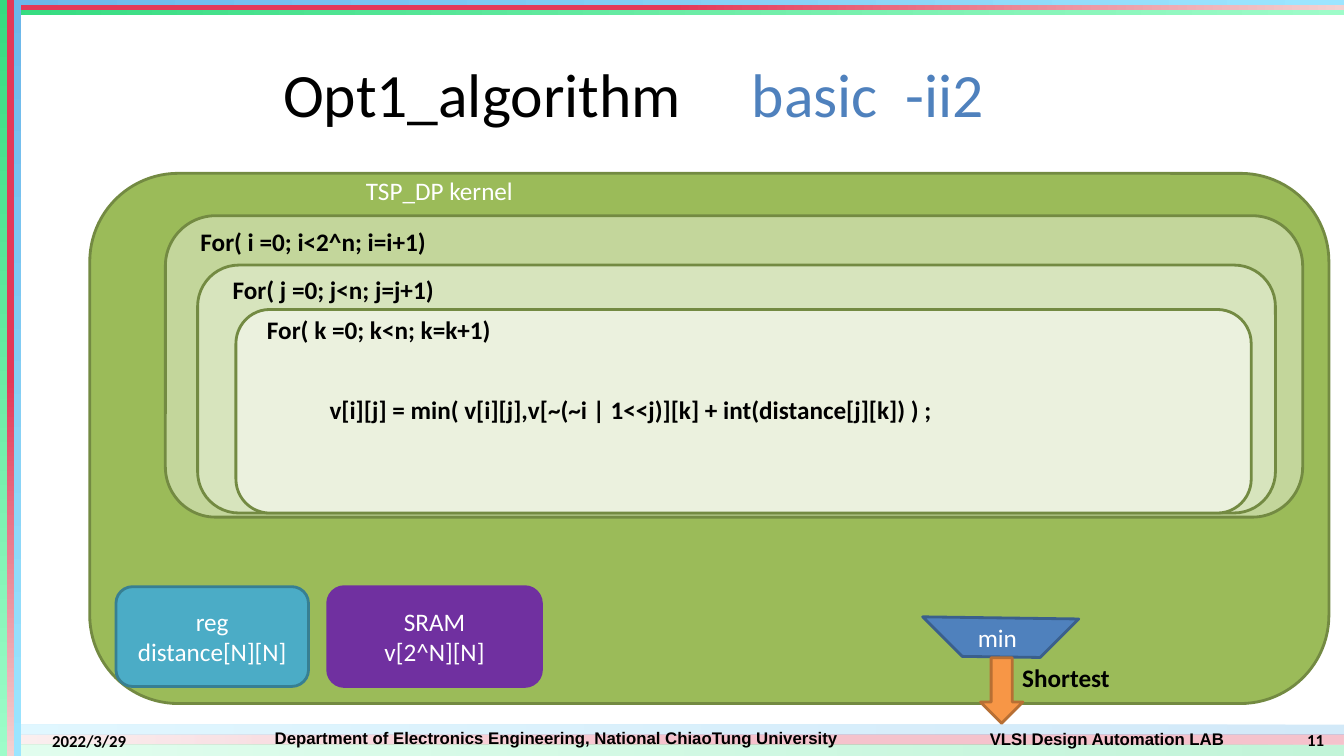
from dataclasses import dataclass
from typing import Optional

from lxml import etree
from pptx import Presentation
from pptx import util as u
from pptx.dml.color import RGBColor
from pptx.enum import shapes, text
from pptx.oxml import ns

BLACK = RGBColor(0x00, 0x00, 0x00)
WHITE = RGBColor(0xFF, 0xFF, 0xFF)
BLUE = RGBColor(0x4F, 0x81, 0xBD)
BLUE_EDGE = RGBColor(0x3A, 0x5F, 0x8C)
TEAL = RGBColor(0x4B, 0xAC, 0xC6)
TEAL_EDGE = RGBColor(0x37, 0x7F, 0x92)
ORANGE = RGBColor(0xF7, 0x96, 0x46)
ORANGE_EDGE = RGBColor(0xB7, 0x6F, 0x34)
PURPLE = RGBColor(0x70, 0x30, 0xA0)
GREEN = RGBColor(0x9B, 0xBB, 0x59)
GREEN_EDGE = RGBColor(0x73, 0x8A, 0x42)
GREEN_LOOP_I = RGBColor(0xC3, 0xD6, 0x9B)
GREEN_LOOP_J = RGBColor(0xD7, 0xE4, 0xBD)
GREEN_LOOP_K = RGBColor(0xEB, 0xF1, 0xDE)
BAR_RED = (RGBColor(0xE3, 0x39, 0x59), RGBColor(0xF2, 0xD2, 0xD2), 0.5)
BAR_GREEN = (RGBColor(0x35, 0xDB, 0x80), RGBColor(0x9E, 0xFC, 0xC9), 0)
BAR_BLUE = (RGBColor(0x6C, 0xB7, 0xEA), RGBColor(0x9B, 0xE5, 0xFF), 0)

WIDTH, HEIGHT = 13.33, 7.5
RECTANGLE = shapes.MSO_SHAPE.RECTANGLE
ROUNDED = shapes.MSO_SHAPE.ROUNDED_RECTANGLE
LEFT, CENTER, RIGHT = text.PP_ALIGN.LEFT, text.PP_ALIGN.CENTER, text.PP_ALIGN.RIGHT
TOP, MIDDLE = text.MSO_ANCHOR.TOP, text.MSO_ANCHOR.MIDDLE


@dataclass
class Bar:
    box: tuple
    colors: tuple
    angle: int
    opacity: int = 100


@dataclass
class Block:
    box: tuple
    fill: RGBColor
    edge: RGBColor
    words: str = ""
    kind: int = ROUNDED
    rotation: int = 0


@dataclass
class Label:
    box: tuple
    words: str
    size: int = 18
    color: RGBColor = BLACK
    bold: bool = True
    font: str = "Calibri"
    align: int = LEFT
    anchor: int = TOP
    wrap: bool = True


BARS = [
    Bar((0, 7.29, WIDTH, 0.1), BAR_RED, 180, 30),
    Bar((0, 7.39, WIDTH, 0.11), BAR_GREEN, 180, 30),
    Bar((0, 7.19, WIDTH, 0.1), BAR_BLUE, 180, 29),
    Bar((0, 0.05, WIDTH, 0.05), BAR_RED, 0),
    Bar((0, 0.1, WIDTH, 0.05), BAR_GREEN, 0),
    Bar((0, 0, WIDTH, 0.05), BAR_BLUE, 0),
    Bar((0.07, 0, 0.07, HEIGHT), BAR_RED, 270),
    Bar((0, 0, 0.07, HEIGHT), BAR_GREEN, 270),
    Bar((0.14, 0, 0.07, HEIGHT), BAR_BLUE, 270),
]

FOOTER = [
    Label((2.08, 7.29, 6.88, 0.05),
          "Department of Electronics Engineering, National ChiaoTung University",
          12, font="Arial", align=CENTER, anchor=MIDDLE, wrap=False),
    Label((9.17, 7.29, 3.62, 0.08), "VLSI Design Automation LAB",
          12, font="Arial", align=CENTER, anchor=MIDDLE, wrap=False),
    Label((0.42, 7.19, 1.46, 0.31), "2022/3/29", 12, anchor=MIDDLE),
    Label((12.65, 7.18, 0.58, 0.32), "11", 12, align=RIGHT, anchor=MIDDLE),
]

DIAGRAM = [
    Block((0.89, 1.72, 12.29, 5.26), GREEN, GREEN_EDGE),
    Block((1.64, 2.14, 11.28, 2.99), GREEN_LOOP_I, GREEN_EDGE),
    Label((3.53, 1.69, 1.78, 0.4), "TSP_DP kernel", color=WHITE, bold=False),
    Block((1.15, 5.82, 1.91, 0.99), TEAL, TEAL_EDGE, "reg\ndistance[N][N]"),
    Label((1.89, 2.2, 3.2, 0.4), "For( i =0; i<2^n; i=i+1)"),
    Block((9.37, 5.59, 1.11, 1.08), BLUE, BLUE_EDGE,
          kind=shapes.MSO_SHAPE.DIAGONAL_STRIPE, rotation=225),
    Label((9.6, 6.12, 0.76, 0.4), "min", color=WHITE, bold=False),
    Block((9.61, 6.64, 0.65, 0.42), ORANGE, ORANGE_EDGE,
          kind=shapes.MSO_SHAPE.RIGHT_ARROW, rotation=90),
    Label((10.04, 6.52, 2.07, 0.4), "Shortest"),
    Block((3.25, 5.82, 2.12, 0.99), PURPLE, PURPLE, "SRAM\nv[2^N][N]"),
    Block((1.96, 2.63, 10.69, 2.46), GREEN_LOOP_J, GREEN_EDGE),
    Label((2.21, 2.67, 3.2, 0.4), "For( j =0; j<n; j=j+1)"),
    Block((2.34, 3.07, 10.07, 2.02), GREEN_LOOP_K, GREEN_EDGE),
    Label((2.55, 3.07, 3.2, 0.4), "For( k =0; k<n; k=k+1)"),
    Label((3.17, 3.86, 7.36, 0.4),
          "v[i][j] = min( v[i][j],v[~(~i | 1<<j)][k] + int(distance[j][k]) ) ;"),
]


def inches(box: tuple) -> list:
    return [u.Inches(length) for length in box]


def style_font(font, size: int, color: RGBColor, bold: bool, name: str = "Calibri") -> None:
    font.name = name
    font.size = u.Pt(size)
    font.bold = bold
    font.color.rgb = color


def draw_bar(slide, bar: Bar) -> None:
    shape = slide.shapes.add_shape(RECTANGLE, *inches(bar.box))
    shape.shadow.inherit = False
    shape.line.fill.background()
    shape.fill.gradient()
    shape.fill.gradient_angle = bar.angle
    start, end, offset = bar.colors
    for stop, color, position in zip(shape.fill.gradient_stops, (start, end), (offset, 1)):
        stop.color.rgb = color
        stop.position = position
    if bar.opacity < 100:
        for color in shape.element.spPr.iter(ns.qn("a:srgbClr")):
            etree.SubElement(color, ns.qn("a:alpha"), val=str(bar.opacity * 1000))


def draw_block(slide, block: Block) -> None:
    shape = slide.shapes.add_shape(block.kind, *inches(block.box))
    shape.shadow.inherit = False
    shape.rotation = block.rotation
    shape.fill.solid()
    shape.fill.fore_color.rgb = block.fill
    shape.line.color.rgb = block.edge
    shape.line.width = u.Pt(2)
    if block.words:
        shape.text_frame.text = block.words
        shape.text_frame.vertical_anchor = MIDDLE
        for paragraph in shape.text_frame.paragraphs:
            paragraph.alignment = CENTER
            style_font(paragraph.runs[0].font, 18, WHITE, False)


def draw_label(slide, label: Label):
    frame = slide.shapes.add_textbox(*inches(label.box)).text_frame
    frame.word_wrap = label.wrap
    frame.vertical_anchor = label.anchor
    frame.text = label.words
    paragraph = frame.paragraphs[0]
    paragraph.alignment = label.align
    style_font(paragraph.runs[0].font, label.size, label.color, label.bold, label.font)
    return paragraph


def draw_title(slide) -> None:
    paragraph = draw_label(slide, Label((2.71, 0.3, 9.96, 1.25), "Opt1_algorithm", 44,
                                        bold=False, anchor=MIDDLE))
    run = paragraph.add_run()
    run.text = "\tbasic\t-ii2"
    style_font(run.font, 44, BLUE, False)
    tabs = etree.SubElement(paragraph._p.get_or_add_pPr(), ns.qn("a:tabLst"))
    for position in (4.65, 6.17):
        etree.SubElement(tabs, ns.qn("a:tab"), pos=str(u.Inches(position)), algn="l")


def draw_item(slide, item) -> None:
    if isinstance(item, Block):
        draw_block(slide, item)
    else:
        draw_label(slide, item)


def main() -> None:
    presentation = Presentation()
    presentation.slide_width = u.Inches(WIDTH)
    presentation.slide_height = u.Inches(HEIGHT)
    slide = presentation.slides.add_slide(presentation.slide_layouts[6])
    for bar in BARS:
        draw_bar(slide, bar)
    draw_title(slide)
    for item in FOOTER + DIAGRAM:
        draw_item(slide, item)
    presentation.save("out.pptx")


if __name__ == "__main__":
    main()
